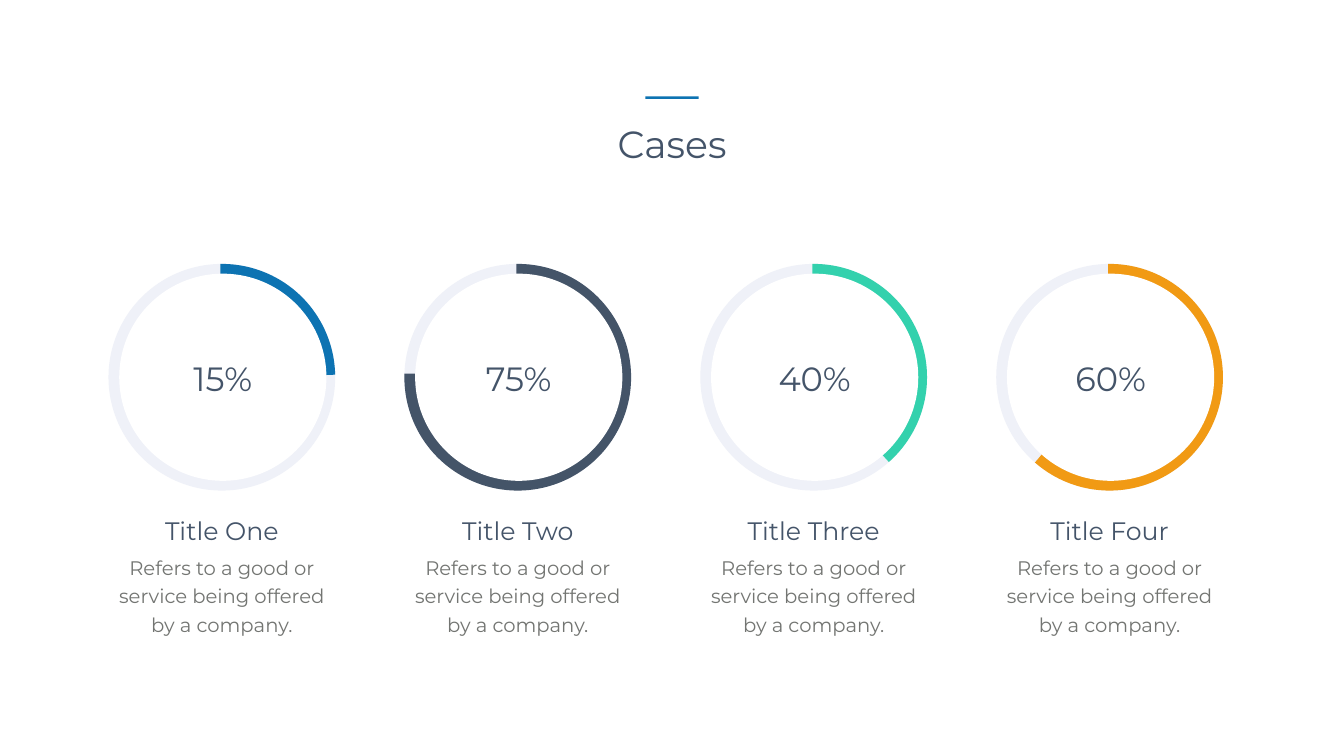
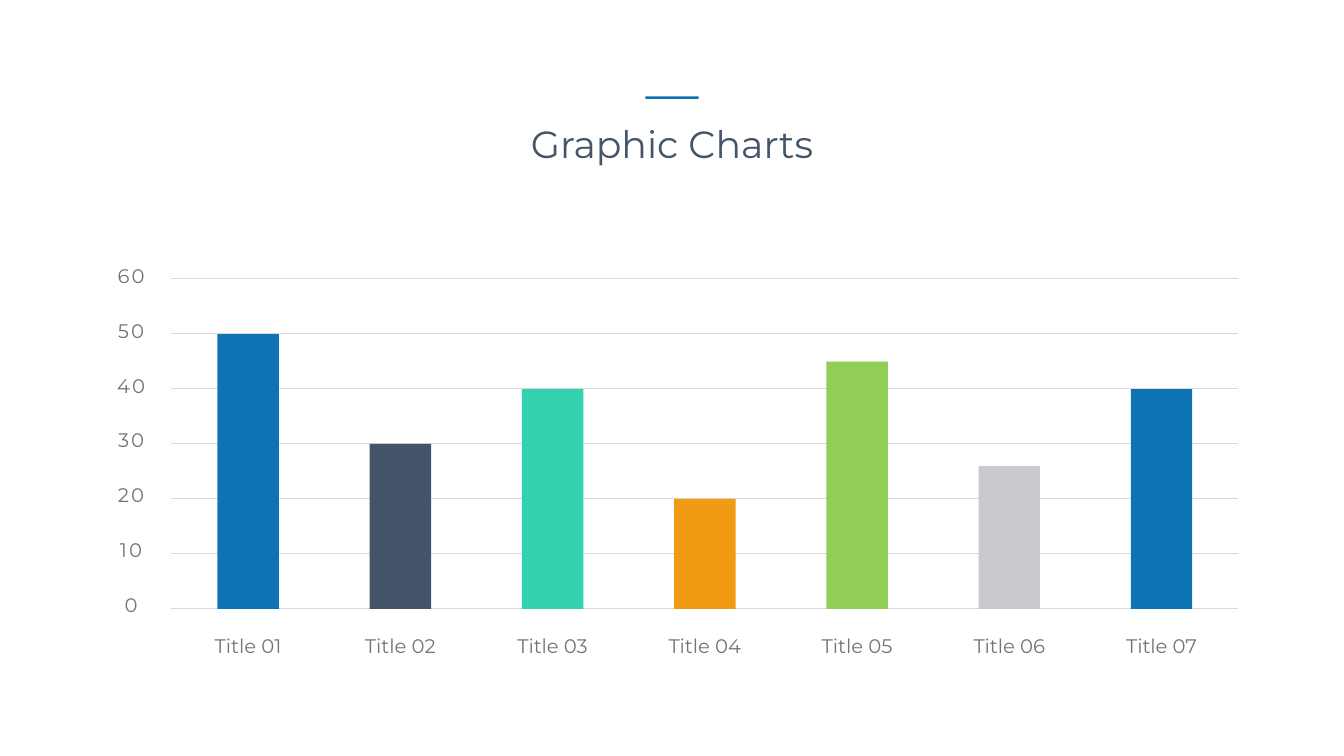
from dataclasses import dataclass
from typing import NamedTuple, Optional

from lxml.etree import SubElement
from pptx import Presentation
from pptx.dml.color import RGBColor
from pptx.enum.shapes import MSO_CONNECTOR as Link, MSO_SHAPE as Shape
from pptx.enum.text import MSO_AUTO_SIZE as AutoSize, PP_ALIGN as Align
from pptx.oxml.ns import qn
from pptx.util import Inches, Pt

WIDTH, HEIGHT = 26.66, 15
MIDDLE = WIDTH / 2
FONT = "Montserrat"

BLUE, SLATE, TEAL, ORANGE = "0D73B2", "445468", "33D1AD", "F19A14"
GREEN, SILVER, WHITE = "91CE55", "CAC9D0", "FFFFFF"
HEADING, BODY, TRACK, RULE = "445469", "737572", "EFF1F8", "D9D9D9"


@dataclass(frozen=True)
class Grid:
    """Evenly spaced positions along one axis."""
    start: float
    step: float

    def at(self, index: float) -> float:
        return self.start + self.step * index


class Style(NamedTuple):
    size: int
    color: str
    line_spacing: Optional[float] = None
    tracking: int = 0


class Case(NamedTuple):
    percent: str
    title: str
    color: str
    arc_end: float


class Bar(NamedTuple):
    value: int
    color: str


TITLE = Style(54, HEADING)
PERCENT = Style(48, HEADING)
CASE_TITLE = Style(36, HEADING)
CASE_BODY = Style(28, BODY, line_spacing=40.8)
CATEGORY = Style(28, BODY)
SCALE = Style(28, BODY, tracking=300)

CASES = [
    Case("15%", "Title One", BLUE, 358.78),
    Case("75%", "Title Two", SLATE, 181.94),
    Case("40%", "Title Three", TEAL, 48.5),
    Case("60%", "Title Four", ORANGE, 131.28),
]
CASE_TEXT = "Refers to a good or service being offered by a company."
CASE_COLUMNS = Grid(4.4, 5.87)
ARC_START = 269.26
RING_TOP, RING_SIZE, RING_WIDTH = 5.41, 4.15, 25
DISC_SIZE, DISC_SHIFT = 4.11, 0.02

BARS = [
    Bar(50, BLUE), Bar(30, SLATE), Bar(40, TEAL), Bar(20, ORANGE),
    Bar(45, GREEN), Bar(26, SILVER), Bar(40, BLUE),
]
BAR_COLUMNS = Grid(4.92, 3.02)
BAR_WIDTH, BAR_BASE = 1.22, 12.08
VALUE_ROWS = Grid(12.06, -1.09)
VALUE_STEP, VALUE_MAX = 10, 60
RULE_LEFT, RULE_RIGHT = 3.4, 24.55


def rgb(color: str) -> RGBColor:
    return RGBColor.from_string(color)


def add_text(slide, text: str, center: float, top: float, width: float,
             height: float, style: Style) -> None:
    box = slide.shapes.add_textbox(Inches(center - width / 2), Inches(top),
                                   Inches(width), Inches(height))
    frame = box.text_frame
    frame.word_wrap = True
    frame.auto_size = AutoSize.SHAPE_TO_FIT_TEXT
    frame.text = text
    paragraph = frame.paragraphs[0]
    paragraph.alignment = Align.CENTER
    if style.line_spacing:
        paragraph.line_spacing = Pt(style.line_spacing)
    run = paragraph.runs[0]
    run.font.name = FONT
    run.font.size = Pt(style.size)
    run.font.color.rgb = rgb(style.color)
    if style.tracking:
        run.font._element.set("spc", str(style.tracking))


def add_figure(slide, kind: Shape, center: float, top: float, width: float,
               height: float, fill: Optional[str] = None,
               outline: Optional[str] = None):
    figure = slide.shapes.add_shape(kind, Inches(center - width / 2), Inches(top),
                                    Inches(width), Inches(height))
    figure.shadow.inherit = False
    if fill:
        figure.fill.solid()
        figure.fill.fore_color.rgb = rgb(fill)
    else:
        figure.fill.background()
    if outline:
        figure.line.color.rgb = rgb(outline)
        figure.line.width = Pt(RING_WIDTH)
    else:
        figure.line.fill.background()
    return figure


def add_rule(slide, y: float) -> None:
    rule = slide.shapes.add_connector(Link.STRAIGHT, Inches(RULE_LEFT), Inches(y),
                                      Inches(RULE_RIGHT), Inches(y))
    rule.line.color.rgb = rgb(RULE)
    rule.line.width = Pt(0.5)
    SubElement(rule._element.spPr, qn("a:effectLst"))


def add_titled_slide(deck, title: str):
    slide = deck.slides.add_slide(deck.slide_layouts[6])
    add_text(slide, title, MIDDLE, 2.34, 10.18, 1.01, TITLE)
    add_figure(slide, Shape.RECTANGLE, MIDDLE, 1.91, 1.06, 0.05, fill=BLUE)
    return slide


def add_case(slide, case: Case, center: float) -> None:
    ring = (center, RING_TOP, RING_SIZE, RING_SIZE)
    add_figure(slide, Shape.OVAL, *ring, fill=BLUE, outline=TRACK)
    arc = add_figure(slide, Shape.ARC, *ring, outline=case.color)
    for index, degrees in enumerate((ARC_START, case.arc_end)):
        arc.adjustments[index] = degrees * 0.6  # 60000 units a degree, scaled by 100000
    add_figure(slide, Shape.OVAL, center + DISC_SHIFT, RING_TOP + DISC_SHIFT,
               DISC_SIZE, DISC_SIZE, fill=WHITE)
    add_text(slide, case.percent, center + DISC_SHIFT, 7.05, 2.21, 0.91, PERCENT)
    add_text(slide, case.title, center, 10.18, 4.61, 0.71, CASE_TITLE)
    add_text(slide, CASE_TEXT, center, 10.88, 4.4, 1.83, CASE_BODY)


def build_cases(deck) -> None:
    slide = add_titled_slide(deck, "Cases")
    for index, case in enumerate(CASES):
        add_case(slide, case, CASE_COLUMNS.at(index))


def build_bars(deck) -> None:
    slide = add_titled_slide(deck, "Graphic Charts")
    for value in range(0, VALUE_MAX + 1, VALUE_STEP):
        y = VALUE_ROWS.at(value / VALUE_STEP)
        add_rule(slide, y)
        add_text(slide, str(value), 2.6, y - 0.34, 0.98, 0.57, SCALE)
    for index, bar in enumerate(BARS):
        center = BAR_COLUMNS.at(index)
        height = -VALUE_ROWS.step * bar.value / VALUE_STEP
        add_figure(slide, Shape.RECTANGLE, center, BAR_BASE - height,
                   BAR_WIDTH, height, fill=bar.color)
        add_text(slide, f"Title {index + 1:02}", center, 12.52, 2.49, 0.57, CATEGORY)


def main() -> None:
    deck = Presentation()
    deck.slide_width, deck.slide_height = Inches(WIDTH), Inches(HEIGHT)
    build_cases(deck)
    build_bars(deck)
    deck.save("out.pptx")


if __name__ == "__main__":
    main()
